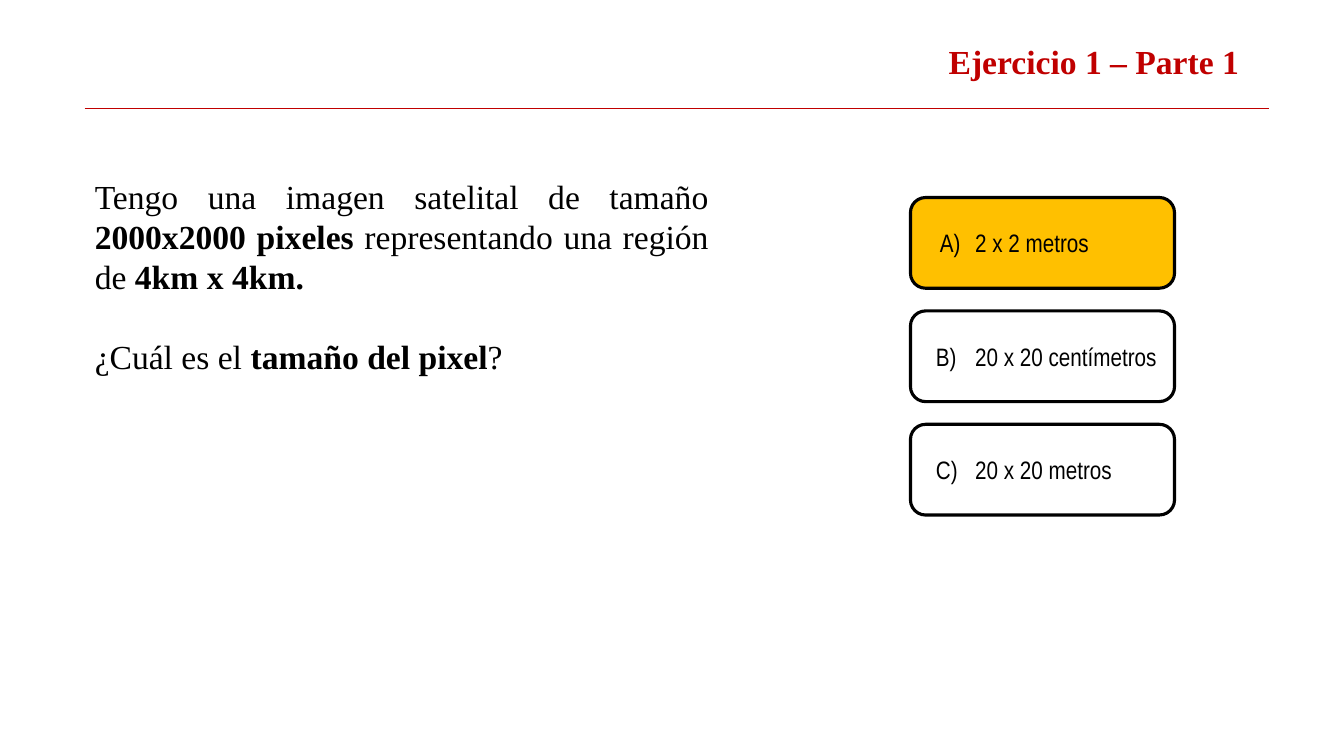
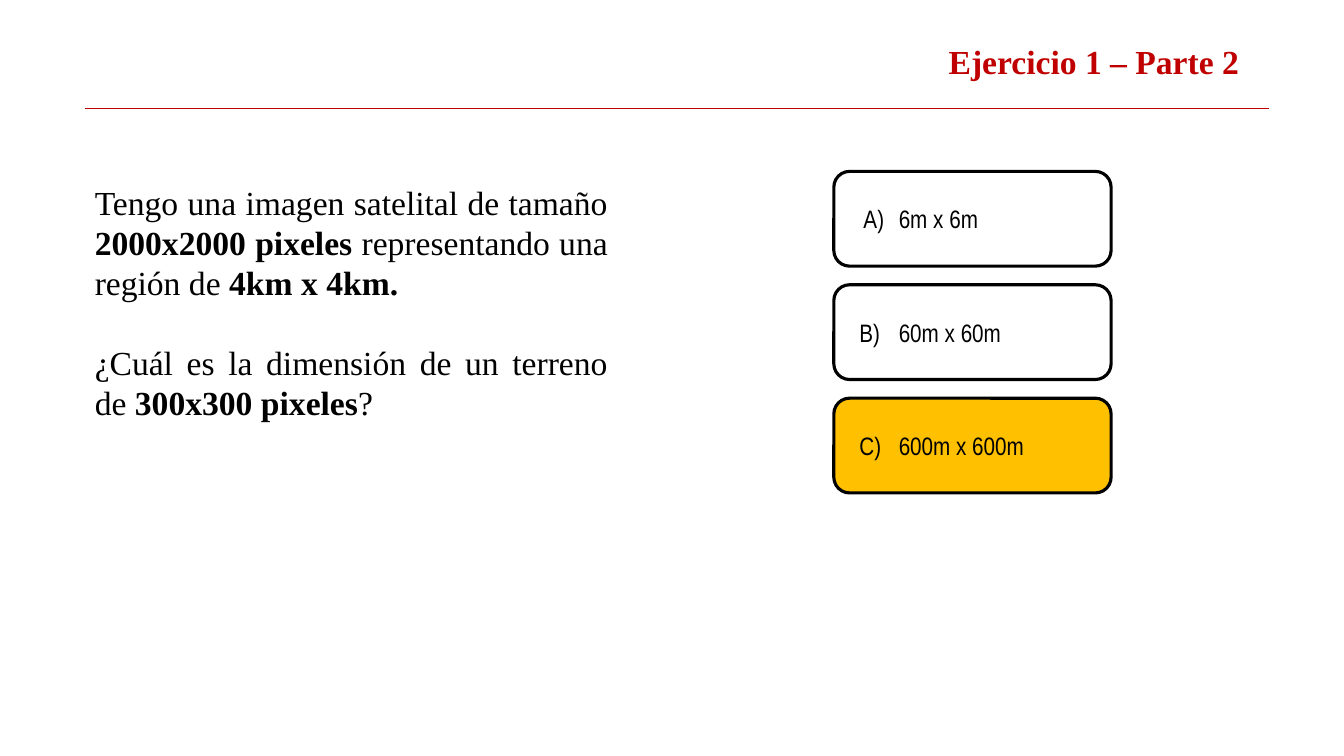
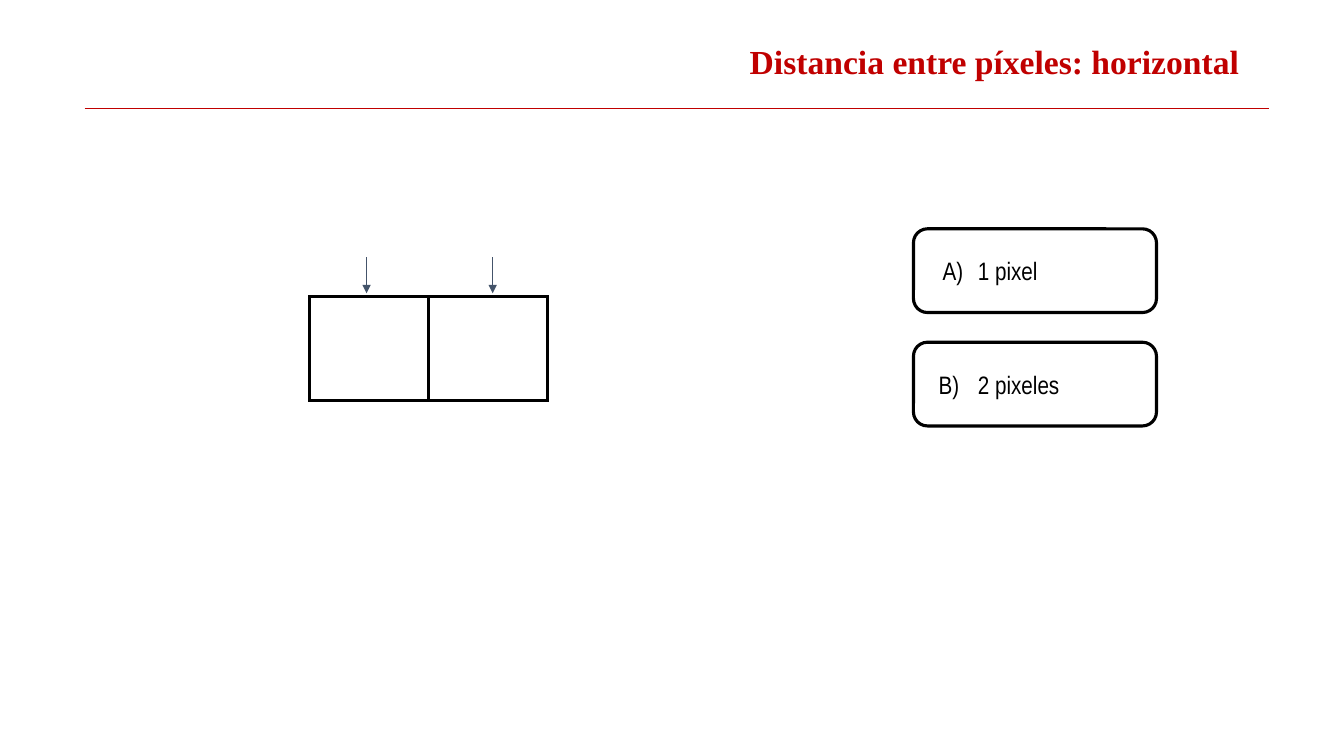
from dataclasses import dataclass

from lxml.etree import SubElement
from pptx import Presentation
from pptx.dml.color import RGBColor
from pptx.enum.shapes import MSO_CONNECTOR as Connector, MSO_SHAPE as Shape
from pptx.enum.text import MSO_ANCHOR as Anchor, MSO_AUTO_SIZE as AutoSize, PP_ALIGN as Align
from pptx.oxml.ns import qn
from pptx.util import Inches, Pt

WIDTH, HEIGHT = Inches(13.33), Inches(7.5)
RED, BLACK, WHITE, GOLD, SLATE = "C00000", "000000", "FFFFFF", "FFC000", "44546A"
SERIF, NARROW = "Times New Roman", "Arial Narrow"
TITLE_ONLY, TITLE_AND_BODY = 5, 1
LEFT, RIGHT = 6.3, 94.45
OPTION_PITCH = 15


def color(code):
    return RGBColor.from_string(code)


def across(share):
    return round(WIDTH * share / 100)


def down(share):
    return round(HEIGHT * share / 100)


@dataclass
class Box:
    left: float
    top: float
    width: float
    height: float

    def place(self):
        return across(self.left), down(self.top), across(self.width), down(self.height)


TITLE_BOX = Box(49.29, 4.8, 43.66, 6.67)


def move(shape, box):
    shape.left, shape.top, shape.width, shape.height = box.place()


def add_run(para, text, font, size, code, bold=False):
    span = para.add_run()
    span.text = text
    span.font.name, span.font.size, span.font.bold = font, Pt(size), bold
    span.font.color.rgb = color(code)


def set_frame(frame, anchor, side, edge):
    frame.word_wrap = True
    frame.auto_size = AutoSize.NONE
    frame.vertical_anchor = anchor
    frame.margin_left = frame.margin_right = Inches(side)
    frame.margin_top = frame.margin_bottom = Inches(edge)


def set_indent(para, left, first):
    properties = para._p.get_or_add_pPr()
    properties.set("marL", str(Inches(left)))
    properties.set("indent", str(Inches(first)))
    return properties


def add_line(page, start, end, code, weight, arrow=False):
    line = page.shapes.add_connector(
        Connector.STRAIGHT, across(start[0]), down(start[1]), across(end[0]), down(end[1]))
    line.line.color.rgb = color(code)
    line.line.width = Pt(weight)
    if arrow:
        SubElement(line.line._get_or_add_ln(), qn("a:tailEnd"), type="triangle")
    SubElement(line._element.spPr, qn("a:effectLst"))


def add_page(deck, layout, title):
    page = deck.slides.add_slide(deck.slide_layouts[layout])
    move(page.shapes.title, TITLE_BOX)
    frame = page.shapes.title.text_frame
    set_frame(frame, Anchor.TOP, 0.1, 0.05)
    para = frame.paragraphs[0]
    para.alignment = Align.RIGHT
    add_run(para, title, SERIF, 24, RED, True)
    add_line(page, (LEFT, 14.27), (RIGHT, 14.27), RED, 0.5)
    return page


def fill_question(page, box, paragraphs):
    body = page.placeholders[1]
    move(body, box)
    frame = body.text_frame
    set_frame(frame, Anchor.TOP, 0.1, 0.1)
    for index, spans in enumerate(paragraphs):
        para = frame.paragraphs[0] if index == 0 else frame.add_paragraph()
        para.alignment = Align.JUSTIFY
        para.space_before = Pt(28 if index else 0)
        SubElement(set_indent(para, 0, 0), qn("a:buNone"))
        for text, bold in spans:
            add_run(para, text, SERIF, 24, BLACK, bold)


def add_options(page, box, answers, chosen=None):
    for index, answer in enumerate(answers):
        spot = Box(box.left, box.top + index * OPTION_PITCH, box.width, box.height)
        option = page.shapes.add_shape(Shape.ROUNDED_RECTANGLE, *spot.place())
        option.shadow.inherit = False
        option.fill.solid()
        option.fill.fore_color.rgb = color(GOLD if index == chosen else WHITE)
        option.line.color.rgb = color(BLACK)
        option.line.width = Pt(2.25)
        set_frame(option.text_frame, Anchor.MIDDLE, 0.1, 0.1)
        para = option.text_frame.paragraphs[0]
        para.alignment = Align.LEFT
        if index == 0:
            properties = set_indent(para, 0.5, -0.35)
            SubElement(properties, qn("a:buFont"), typeface=NARROW)
            SubElement(properties, qn("a:buAutoNum"), type="alphaUcParenR")
            label = ""
        else:
            set_indent(para, 0, 0.11)
            label = f"{'ABC'[index]})\t"
        add_run(para, label + answer, NARROW, 18, BLACK)


def add_border(cell):
    properties = cell._tc.get_or_add_tcPr()
    for position, side in enumerate(("lnL", "lnR", "lnT", "lnB")):
        edge = properties.makeelement(qn(f"a:{side}"), w=str(Pt(2.25)))
        fill = SubElement(edge, qn("a:solidFill"))
        SubElement(fill, qn("a:srgbClr"), val=BLACK)
        properties.insert(position, edge)


def add_pixel_pair(page, box):
    table = page.shapes.add_table(1, 2, *box.place()).table
    table.first_row = table.horz_banding = False
    for cell in table.iter_cells():
        cell.fill.background()
        add_border(cell)
    for share in (0.24, 0.77):
        center = box.left + box.width * share
        add_line(page, (center, box.top - 5.2), (center, box.top - 0.4), SLATE, 0.75, True)


def main():
    deck = Presentation()
    deck.slide_width, deck.slide_height = WIDTH, HEIGHT
    premise = [
        ("Tengo una imagen satelital de tamaño ", False),
        ("2000x2000 pixeles ", True),
        ("representando una región de ", False),
        ("4km x 4km.", True),
    ]

    page = add_page(deck, TITLE_AND_BODY, "Ejercicio 1 – Parte 1")
    fill_question(page, Box(LEFT, 21.87, 47.18, 44), [
        premise,
        [("¿Cuál es el ", False), ("tamaño del pixel", True), ("?", False)],
    ])
    add_options(page, Box(67.74, 26.13, 19.65, 12),
                ["2 x 2 metros", "20 x 20 centímetros", "20 x 20 metros"], chosen=0)

    page = add_page(deck, TITLE_AND_BODY, "Ejercicio 1 – Parte 2")
    fill_question(page, Box(LEFT, 22.67, 39.68, 45.47), [
        premise,
        [("¿Cuál es la dimensión de un terreno de ", False),
         ("300x300 pixeles", True), ("?", False)],
    ])
    add_options(page, Box(62.04, 22.67, 20.63, 12.53),
                ["6m x 6m", "60m x 60m", "600m x 600m"], chosen=2)

    page = add_page(deck, TITLE_ONLY, "Distancia entre píxeles: horizontal")
    add_pixel_pair(page, Box(23.03, 39.2, 17.7, 13.73))
    add_options(page, Box(67.97, 30.27, 18.08, 11.07), ["1 pixel", "2 pixeles"])

    deck.save("out.pptx")


if __name__ == "__main__":
    main()
